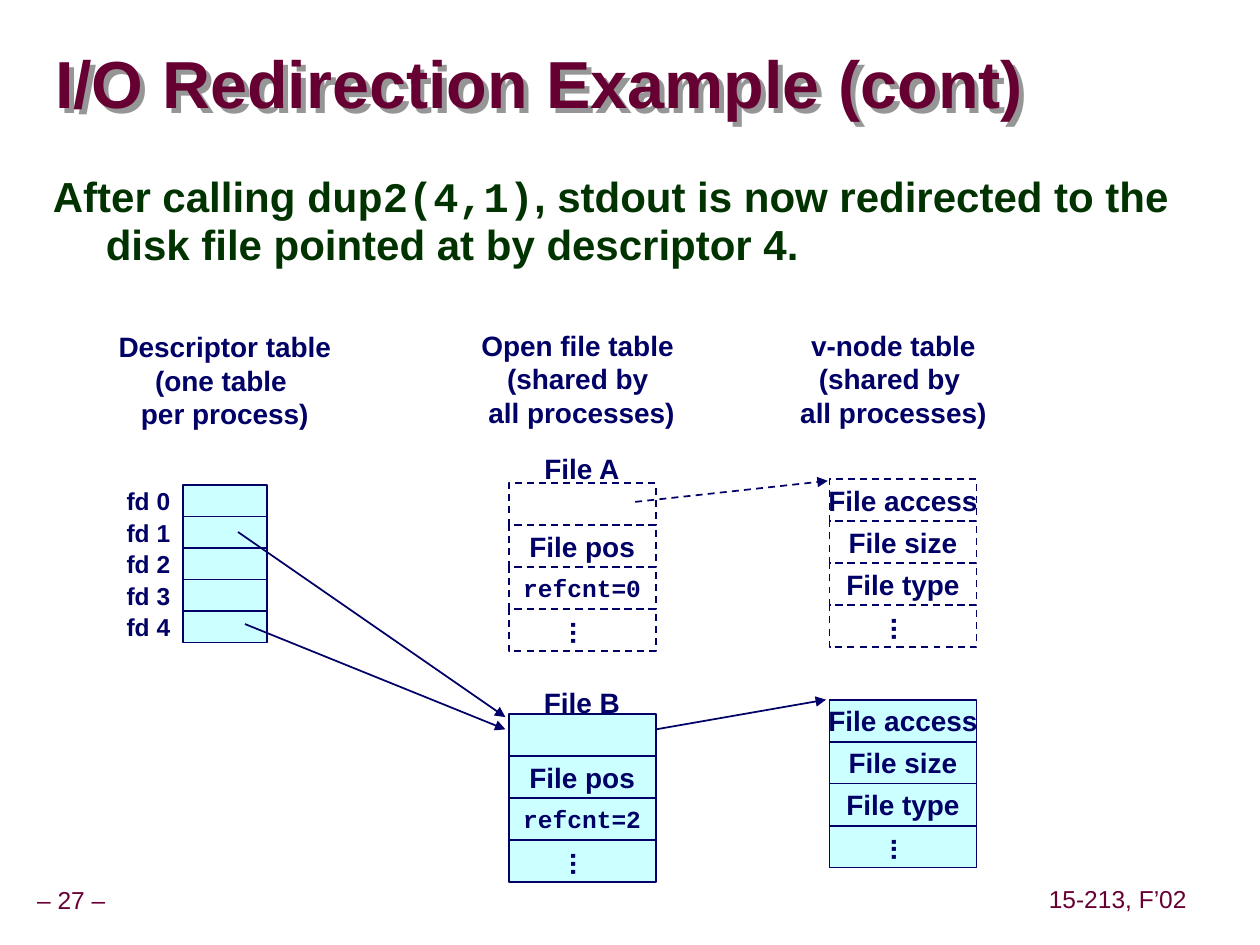
from lxml import etree
from pptx import Presentation
from pptx.dml.color import RGBColor
from pptx.enum import dml, shapes, text
from pptx.oxml import parse_xml
from pptx.oxml.ns import nsdecls, qn
from pptx.util import Pt

# ---- Content ----
TITLE = "I/O Redirection Example (cont)"
BODY = [
    ("After calling ", "Arial"),
    ("dup2(4,1)", "Courier New"),
    (", stdout is now redirected to the disk file pointed at by descriptor 4.", "Arial"),
]
FOOTERS = [("– 27 –", (-6.5, 504, 94.5, 22)), ("15-213, F’02", (595.5, 503.5, 86.5, 22))]
HEADINGS = [
    (("Descriptor table", "(one table ", "per process)"), (60.5, 184.6, 136, 65)),
    (("Open file table ", "(shared by ", "all processes)"), (267.8, 183.8, 129, 65)),
    (("v-node table", "(shared by ", "all processes)"), (450, 183.8, 121, 65)),
]
FILE_NAMES = [("File A", (292.6, 254.5, 80, 26.5)), ("File B", (292.6, 388, 80, 26.5))]
DESCRIPTORS = ["fd 0", "fd 1", "fd 2", "fd 3", "fd 4"]
VNODE = ["File access", "File size", "File type", "..."]
# rows, left, top, dashed (closed file)
TABLES = [
    (["", "File pos", "refcnt=0", "..."], 290.7, 276, True),
    (["", "File pos", "refcnt=2", "..."], 290.7, 408, False),
    (VNODE, 474, 273.8, True),
    (VNODE, 474, 399.8, False),
]
# start x, start y, end x, end y, dashed
ARROWS = [
    (136, 304, 288.8, 409.8, False),
    (140, 356.6, 288.8, 416.8, False),
    (356.5, 420, 472, 399.8, False),
    (363, 286.8, 473, 274.8, True),
]

# ---- Format ----
COLORS = {"title": "660033", "body": "003300", "diagram": "000066",
          "cell": "CCFFFF", "shadow": "969696"}
FD_LEFT, FD_TOP, FD_WIDTH, FD_HEIGHT = 104.4, 277.2, 48, 18
CELL_WIDTH, CELL_HEIGHT = 84, 24
CENTER, RIGHT, LEFT = text.PP_ALIGN.CENTER, text.PP_ALIGN.RIGHT, text.PP_ALIGN.LEFT
LABEL = {"size": Pt(16), "name": "Arial", "bold": True}
SMALL = {**LABEL, "size": Pt(14)}
CODE = {**SMALL, "name": "Courier New"}


def rgb(role):
    return RGBColor.from_string(COLORS[role])


def apply(target, values):
    for attribute, value in values.items():
        setattr(target, attribute, value)


def add_run(paragraph, words, font, color):
    run = paragraph.add_run()
    run.text = words
    apply(run.font, font)
    run.font.color.rgb = rgb(color)


def write(shape, lines, font=LABEL, color="diagram", align=CENTER, spacing=1.0, inset=None):
    frame = shape.text_frame
    apply(frame, {"word_wrap": False, "vertical_anchor": text.MSO_ANCHOR.MIDDLE})
    if inset:
        left_right, top_bottom = (Pt(value) for value in inset)
        apply(frame, {"margin_left": left_right, "margin_right": left_right,
                      "margin_top": top_bottom, "margin_bottom": top_bottom})
    for index, line in enumerate(lines):
        paragraph = frame.add_paragraph() if index else frame.paragraphs[0]
        apply(paragraph, {"alignment": align, "line_spacing": spacing})
        add_run(paragraph, line, font, color)


def add_label(slide, box, lines, **style):
    write(slide.shapes.add_textbox(*map(Pt, box)), lines, **style)


def style_line(line, dashed):
    line.color.rgb = rgb("diagram")
    line.width = Pt(1)
    if dashed:
        line.dash_style = dml.MSO_LINE.DASH


def add_cell(slide, box, words="", dashed=False):
    cell = slide.shapes.add_shape(shapes.MSO_SHAPE.RECTANGLE, *map(Pt, box))
    cell.shadow.inherit = False
    style_line(cell.line, dashed)
    if dashed:
        cell.fill.background()
    else:
        cell.fill.solid()
        cell.fill.fore_color.rgb = rgb("cell")
    if words == "...":
        write(cell, [words], inset=(3.6, 7.2))
        cell.element.txBody.bodyPr.set("vert", "eaVert")
    elif words:
        write(cell, [words], font=CODE if words.startswith("refcnt") else LABEL)


def add_arrow(slide, x1, y1, x2, y2, dashed):
    arrow = slide.shapes.add_connector(
        shapes.MSO_CONNECTOR.STRAIGHT, *map(Pt, (x1, y1, x2, y2)))
    style_line(arrow.line, dashed)
    etree.SubElement(arrow.line._get_or_add_ln(), qn("a:tailEnd"), type="triangle")
    etree.SubElement(arrow.element.spPr, qn("a:effectLst"))


def place(shape, box):
    apply(shape, dict(zip(("left", "top", "width", "height"), map(Pt, box))))
    shape.text_frame.auto_size = text.MSO_AUTO_SIZE.NONE


def fill_title(title):
    place(title, (31.5, 19.5, 686, 61))
    apply(title.text_frame, {
        "margin_left": 0, "margin_right": 0, "margin_top": 0, "margin_bottom": 0,
        "vertical_anchor": text.MSO_ANCHOR.MIDDLE})
    paragraph = title.text_frame.paragraphs[0]
    apply(paragraph, {"alignment": LEFT, "line_spacing": 0.87})
    add_run(paragraph, TITLE, {**LABEL, "size": Pt(38)}, "title")
    # With no fill, the shadow falls from the letters
    title.fill.background()
    title.element.spPr.append(parse_xml(
        f'<a:effectLst {nsdecls("a")}>'
        f'<a:outerShdw dist="{Pt(4)}" dir="2700000" algn="ctr" rotWithShape="0">'
        f'<a:srgbClr val="{COLORS["shadow"]}"/></a:outerShdw></a:effectLst>'))


def fill_body(body):
    place(body, (23, 96, 654.5, 65.5))
    body.text_frame.vertical_anchor = text.MSO_ANCHOR.TOP
    paragraph = body.text_frame.paragraphs[0]
    properties = paragraph._p.get_or_add_pPr()
    properties.set("marL", str(Pt(30.25)))
    properties.set("indent", str(-Pt(30.25)))
    etree.SubElement(properties, qn("a:buNone"))
    apply(paragraph, {"alignment": LEFT, "line_spacing": 0.95, "space_before": Pt(0)})
    for words, face in BODY:
        add_run(paragraph, words, {"size": Pt(24), "name": face, "bold": True}, "body")


def main():
    deck = Presentation()
    deck.slide_width, deck.slide_height = Pt(720), Pt(540)
    slide = deck.slides.add_slide(deck.slide_layouts[1])
    fill_title(slide.shapes.title)
    fill_body(slide.placeholders[1])

    # Footers
    for words, box in FOOTERS:
        add_label(slide, box, [words], font={"size": Pt(14), "name": "Arial"},
                  color="title", spacing=0.9, inset=(3.6, 3.6))

    # Descriptor table
    for row, name in enumerate(DESCRIPTORS):
        top = FD_TOP + row * FD_HEIGHT
        add_cell(slide, (FD_LEFT, top, FD_WIDTH, FD_HEIGHT))
        add_label(slide, (FD_LEFT - FD_WIDTH, top, FD_WIDTH, FD_HEIGHT), [name],
                  font=SMALL, align=RIGHT)

    # Arrows lie behind the filled file tables
    for arrow in ARROWS:
        add_arrow(slide, *arrow)

    # Open file and v-node tables
    for rows, left, top, dashed in TABLES:
        for row, words in enumerate(rows):
            add_cell(slide, (left, top + row * CELL_HEIGHT, CELL_WIDTH, CELL_HEIGHT),
                     words, dashed)

    # Headings and file names
    for lines, box in HEADINGS:
        add_label(slide, box, lines)
    for name, box in FILE_NAMES:
        add_label(slide, box, [name])

    deck.save("out.pptx")


if __name__ == "__main__":
    main()
